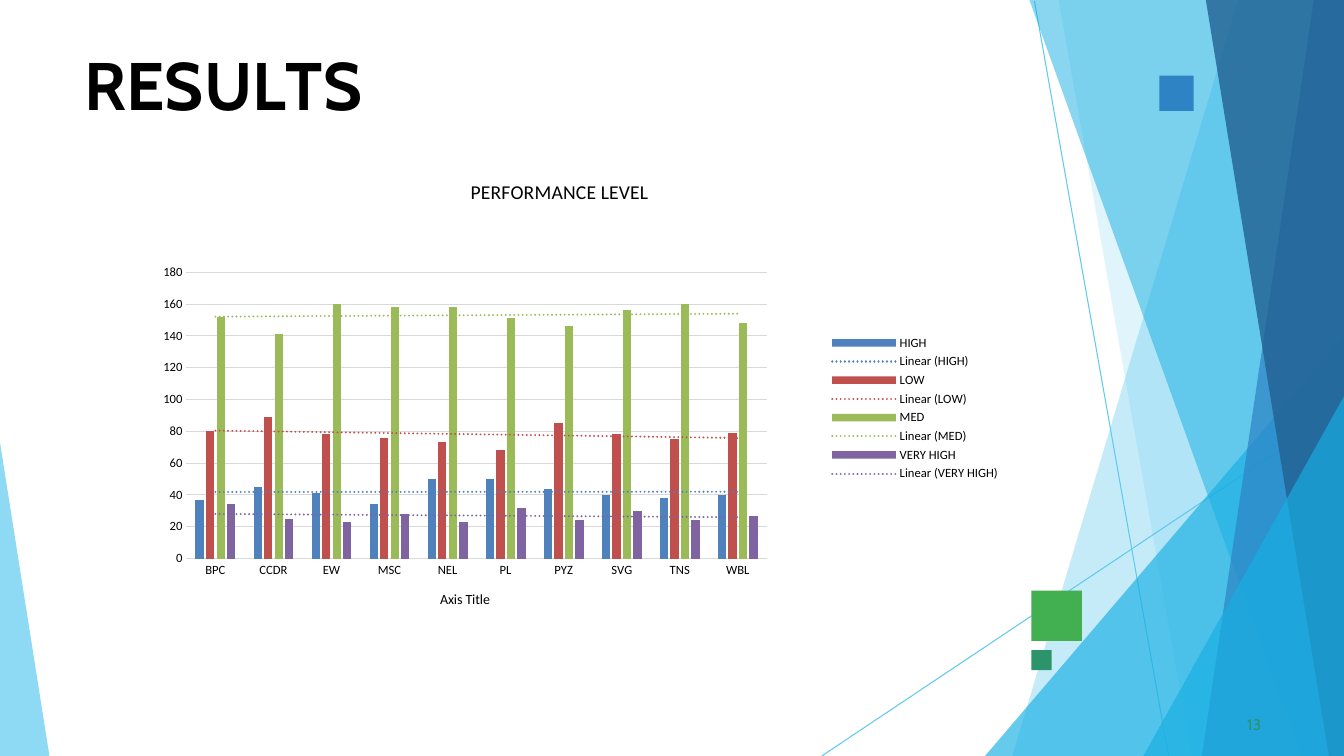
from lxml import etree
from pptx import Presentation
from pptx.chart.data import CategoryChartData
from pptx.dml.color import RGBColor
from pptx.enum.chart import XL_CHART_TYPE, XL_LEGEND_POSITION, XL_TICK_MARK
from pptx.enum.shapes import MSO_CONNECTOR, MSO_SHAPE
from pptx.enum.text import MSO_AUTO_SIZE
from pptx.oxml import parse_xml
from pptx.oxml.ns import nsdecls, qn
from pptx.util import Inches, Pt

WIDTH, HEIGHT = 13.33, 7.5

FACETS = [
    ([(WIDTH, 0), (12.28, 0), (10.04, HEIGHT), (WIDTH, HEIGHT)], "5FCAEE", 36),
    ([(WIDTH, 0), (10.5, 0), (11.82, HEIGHT), (WIDTH, HEIGHT)], "5FCAEE", 20),
    ([(WIDTH, 3.33), (9.77, HEIGHT), (WIDTH, HEIGHT)], "17AFE3", 66),
    ([(WIDTH, 0), (10.21, 0), (12.91, HEIGHT), (WIDTH, HEIGHT)], "17AFE3", 50),
    ([(WIDTH, 0), (13.03, 0), (11.92, HEIGHT), (WIDTH, HEIGHT)], "2D83C3", 70),
    ([(WIDTH, 0), (11.96, 0), (13.18, HEIGHT), (WIDTH, HEIGHT)], "226192", 80),
    ([(WIDTH, 3.93), (11.34, HEIGHT), (WIDTH, HEIGHT)], "17AFE3", 66),
    ([(0, 4.39), (0, HEIGHT), (0.49, HEIGHT)], "5FCAEE", 70),
]
RAYS = [(10.26, 0.01, 11.59, HEIGHT), (WIDTH, 4.04, 8.15, HEIGHT)]
SQUARES = [
    (10.23, 5.86, 0.5, 0.5, "42AF51"),
    (11.5, 0.75, 0.34, 0.35, "2D83C3"),
    (10.23, 6.45, 0.2, 0.2, "2D936B"),
]

CATEGORIES = ["BPC", "CCDR", "EW", "MSC", "NEL", "PL", "PYZ", "SVG", "TNS", "WBL"]
SERIES = [
    ("HIGH", "4F81BD", [37, 45, 41, 34, 50, 50, 44, 40, 38, 40]),
    ("LOW", "C0504D", [80, 89, 78, 76, 73, 68, 85, 78, 75, 79]),
    ("MED", "9BBB59", [152, 141, 160, 158, 158, 151, 146, 156, 160, 148]),
    ("VERY HIGH", "8064A2", [34, 25, 23, 28, 23, 32, 24, 30, 24, 27]),
]


def rgb(color):
    return RGBColor.from_string(color)


def fill_shape(sp, color, opacity=100):
    sp.shadow.inherit = False
    sp.line.fill.background()
    sp.fill.solid()
    sp.fill.fore_color.rgb = rgb(color)
    if opacity < 100:
        srgb = sp.fill._xPr.find(".//" + qn("a:srgbClr"))
        etree.SubElement(srgb, qn("a:alpha")).set("val", str(opacity * 1000))


def add_background(slide):
    for ray in RAYS:
        line = slide.shapes.add_connector(MSO_CONNECTOR.STRAIGHT, *map(Inches, ray))
        line.line.color.rgb = rgb("5FCAEE")
        line.line.width = Pt(0.75)
        etree.SubElement(line._element.spPr, qn("a:effectLst"))
    for corners, color, opacity in FACETS:
        points = [(Inches(x), Inches(y)) for x, y in corners]
        builder = slide.shapes.build_freeform(*points[0])
        builder.add_line_segments(points[1:], close=True)
        fill_shape(builder.convert_to_shape(), color, opacity)


def add_squares(slide):
    for *box, color in SQUARES:
        fill_shape(slide.shapes.add_shape(MSO_SHAPE.RECTANGLE, *map(Inches, box)), color)


def add_text(slide, box, pieces, size, color, bold, indent, before):
    tf = slide.shapes.add_textbox(*map(Inches, box)).text_frame
    tf.word_wrap = True
    tf.auto_size = MSO_AUTO_SIZE.SHAPE_TO_FIT_TEXT
    tf.margin_left = tf.margin_right = tf.margin_bottom = 0
    tf.margin_top = Inches(0.01)
    p = tf.paragraphs[0]
    p.space_before = Pt(before)
    p._p.get_or_add_pPr().set("marL", str(Inches(indent)))
    for text, spacing in pieces:
        r = p.add_run()
        r.text = text
        style_font(r.font, size, color, "Cabin", bold)
        r.font._element.set("spc", str(round(spacing * 100)))


def style_font(font, size, color="000000", name="Calibri", bold=False):
    font.size = Pt(size)
    font.name = name
    font.bold = bold
    font.color.rgb = rgb(color)


def set_title(owner, text, size):
    owner.has_title = True
    title = owner.chart_title if hasattr(owner, "chart_title") else owner.axis_title
    title.text_frame.text = text
    style_font(title.text_frame.paragraphs[0].runs[0].font, size)


def set_plot_layout(chart, x, y, w, h):
    plot_area = chart._chartSpace.chart.plotArea
    for layout in plot_area.findall(qn("c:layout")):
        plot_area.remove(layout)
    plot_area.insert(0, parse_xml(
        f'<c:layout {nsdecls("c")}><c:manualLayout><c:layoutTarget val="inner"/>'
        '<c:xMode val="edge"/><c:yMode val="edge"/>'
        f'<c:x val="{x}"/><c:y val="{y}"/><c:w val="{w}"/><c:h val="{h}"/>'
        '</c:manualLayout></c:layout>'))


def add_trendline(series, color):
    series._element.find(qn("c:cat")).addprevious(parse_xml(
        f'<c:trendline {nsdecls("c", "a")}><c:spPr><a:ln w="{Pt(1.5)}" cap="rnd">'
        f'<a:solidFill><a:srgbClr val="{color}"/></a:solidFill>'
        '<a:prstDash val="sysDot"/></a:ln></c:spPr><c:trendlineType val="linear"/>'
        '<c:dispRSqr val="0"/><c:dispEq val="0"/></c:trendline>'))


def style_axis(axis):
    axis.major_tick_mark = axis.minor_tick_mark = XL_TICK_MARK.NONE
    style_font(axis.tick_labels.font, 9)


def style_rule(line):
    line.color.rgb = rgb("D9D9D9")
    line.width = Pt(0.75)


def add_performance_chart(slide, box):
    data = CategoryChartData()
    data.categories = CATEGORIES
    for name, _, values in SERIES:
        data.add_series(name, values)
    chart = slide.shapes.add_chart(
        XL_CHART_TYPE.COLUMN_CLUSTERED, *map(Inches, box), data).chart
    style_font(chart.font, 10)
    set_title(chart, "PERFORMANCE LEVEL", 14)
    chart.chart_title.include_in_layout = False

    category_axis, value_axis = chart.category_axis, chart.value_axis
    style_axis(category_axis)
    style_axis(value_axis)
    set_title(category_axis, "Axis Title", 10)
    style_rule(category_axis.format.line)
    value_axis.format.line.fill.background()
    style_rule(value_axis.major_gridlines.format.line)

    chart.has_legend = True
    chart.legend.position = XL_LEGEND_POSITION.RIGHT
    chart.legend.include_in_layout = False
    style_font(chart.legend.font, 9)

    plot = chart.plots[0]
    plot.gap_width = 219
    plot.overlap = -27
    plot.vary_by_categories = False
    for series, (_, color, _) in zip(plot.series, SERIES):
        series.format.fill.solid()
        series.format.fill.fore_color.rgb = rgb(color)
        add_trendline(series, color)
    set_plot_layout(chart, 0.086, 0.227, 0.644, 0.575)


def main():
    prs = Presentation()
    prs.slide_width, prs.slide_height = Inches(WIDTH), Inches(HEIGHT)
    slide = prs.slides.add_slide(prs.slide_layouts[6])
    add_background(slide)
    add_squares(slide)
    title = [("R", 0), ("E", -0.4), ("S", 0.1), ("U", -0.3), ("L", -4), ("TS", 0)]
    add_text(slide, (0.83, 0.42, 3.25, 0.82), title, 48, "000000", True, 0.01, 1.1)
    add_text(slide, (12.33, 7.08, 0.25, 0.21), [("13", 0.1)], 11, "2D936B", False, 0.04, 0.6)
    add_performance_chart(slide, (1.08, 1.58, 8.94, 4.94))
    prs.save("out.pptx")


if __name__ == "__main__":
    main()
